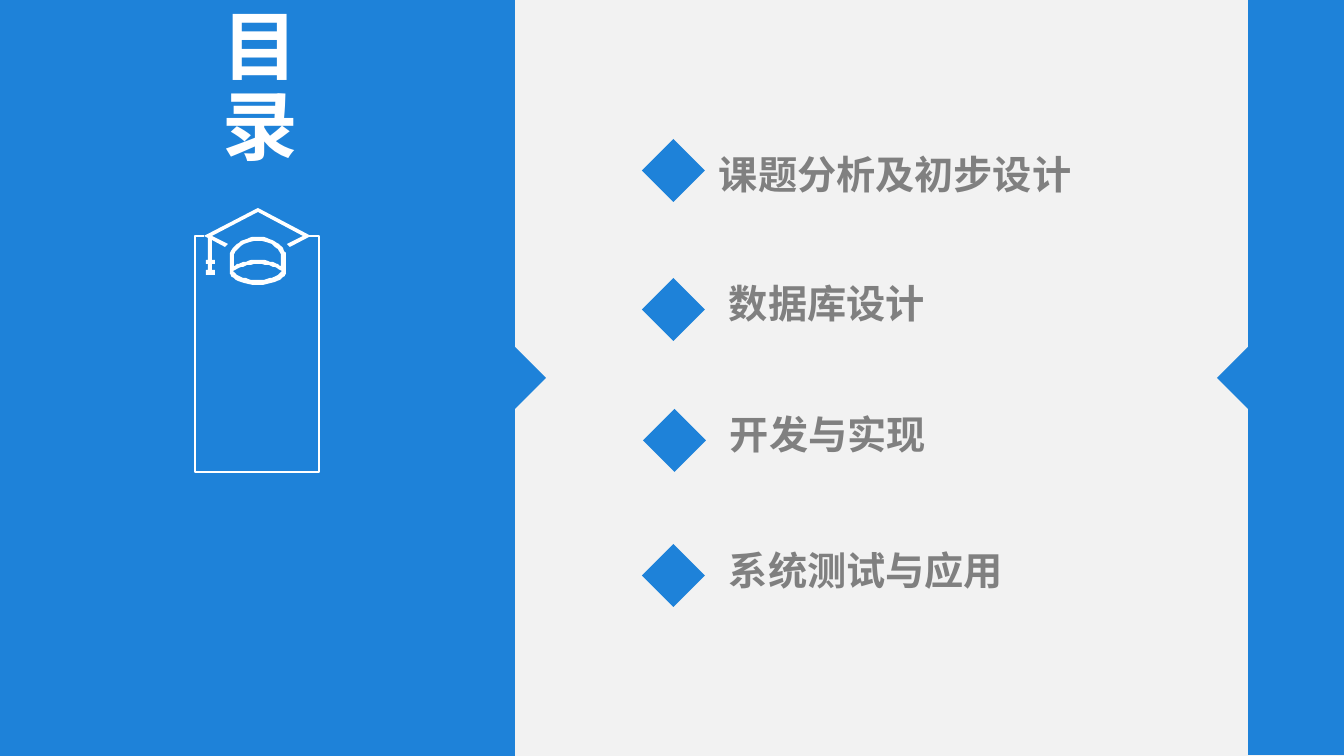
"""Build the contents slide with four numbered chapters."""
from dataclasses import dataclass

from lxml.etree import SubElement
from pptx import Presentation
from pptx.dml.color import RGBColor
from pptx.enum.shapes import MSO_SHAPE as Preset
from pptx.enum.text import MSO_ANCHOR as Anchor, MSO_AUTO_SIZE as AutoSize, PP_ALIGN as Align
from pptx.oxml.ns import qn
from pptx.util import Pt

SCALE = 12192000 / 1344


@dataclass(frozen=True)
class Theme:
    """Colours, fonts and type sizes."""
    blue: str = "1E82D9"
    paper: str = "F2F2F2"
    white: str = "FFFFFF"
    grey: str = "808080"
    heading_font: str = "Noto Sans CJK SC"
    number_font: str = "TeX Gyre Adventor"
    title_size: int = 54
    chapter_size: int = 28
    number_size: int = 24


def px(length):
    """Turn pixels into EMU."""
    return round(length * SCALE)


def curve(start, first, second, end, steps=12):
    """Return points along a cubic curve, without its start."""
    points = []
    for step in range(1, steps + 1):
        t = step / steps
        weights = ((1 - t) ** 3, 3 * t * (1 - t) ** 2, 3 * t * t * (1 - t), t ** 3)
        points.append(tuple(sum(w * p[axis] for w, p in zip(weights, (start, first, second, end)))
                            for axis in (0, 1)))
    return points


def outline(start, *segments):
    """Join corner points and curve segments into one contour."""
    points = [start]
    for segment in segments:
        points += curve(points[-1], *segment) if len(segment) == 3 else [segment]
    return points


class Deck:
    """Hold the theme and the current slide."""

    def __init__(self, theme):
        """Open a title-only slide on the paper colour."""
        self.theme = theme
        self.prs = Presentation()
        self.prs.slide_width, self.prs.slide_height = px(1344), px(756)
        self.slide = self.prs.slides.add_slide(self.prs.slide_layouts[5])
        self.shapes = self.slide.shapes
        self.paint(self.slide.background, theme.paper)

    def paint(self, target, colour):
        """Give a target a solid fill."""
        target.fill.solid()
        target.fill.fore_color.rgb = RGBColor.from_string(colour)

    def add_styled_run(self, frame, text, font, size, colour, bold=False):
        """Put one styled run in the first paragraph."""
        run = frame.paragraphs[0].add_run()
        run.text = text
        run.font.name, run.font.size, run.font.bold = font, Pt(size), bold
        run.font.color.rgb = RGBColor.from_string(colour)
        properties = run._r.get_or_add_rPr()
        SubElement(properties, qn("a:ea")).set("typeface", font)
        return properties

    def title_panel(self, text, left, top, width, height):
        """Make the title a filled panel with vertical text."""
        title = self.shapes.title
        title.left, title.top, title.width, title.height = map(px, (left, top, width, height))
        self.paint(title, self.theme.blue)
        frame = title.text_frame
        frame.auto_size, frame.vertical_anchor = AutoSize.NONE, Anchor.MIDDLE
        frame.margin_left = frame.margin_right = frame.margin_bottom = 0
        frame.margin_top = px(8)
        frame._txBody.bodyPr.set("vert", "eaVert")
        frame.paragraphs[0].alignment = Align.LEFT
        properties = self.add_styled_run(frame, text, self.theme.heading_font,
                                         self.theme.title_size, self.theme.white, True)
        properties.set("spc", "300")

    def block(self, preset, left, top, width, height, parent=None):
        """Add a blue preset shape."""
        shape = (parent or self.shapes).add_shape(preset, *map(px, (left, top, width, height)))
        shape.shadow.inherit = False
        self.paint(shape, self.theme.blue)
        shape.line.fill.background()

    def label(self, parent, left, top, width, height, *style):
        """Add an unwrapped text box."""
        frame = parent.add_textbox(*map(px, (left, top, width, height))).text_frame
        frame.word_wrap = False
        frame.auto_size = AutoSize.SHAPE_TO_FIT_TEXT
        self.add_styled_run(frame, *style)

    def freeform(self, *contours, fill=None, stroke=None):
        """Add filled contours or an open stroked outline."""
        builder = self.shapes.build_freeform(*contours[0][0], scale=SCALE)
        for index, contour in enumerate(contours):
            if index:
                builder.move_to(*contour[0])
            builder.add_line_segments(contour[1:], close=fill is not None)
        shape = builder.convert_to_shape()
        shape.shadow.inherit = False
        if fill:
            self.paint(shape, fill)
            shape.line.fill.background()
        else:
            shape.fill.background()
            shape.line.color.rgb = RGBColor.from_string(stroke)
            shape.line.width = Pt(1)

    def chapter(self, number, text, left, top, text_left, text_top):
        """Add a numbered diamond with its chapter name."""
        theme = self.theme
        group = self.shapes.add_group_shape().shapes
        self.block(Preset.DIAMOND, left, top, 63, 63, group)
        self.label(group, left + 12, top + 6, 38, 50, str(number),
                   theme.number_font, theme.number_size, theme.white)
        self.label(group, text_left, text_top, 39 * len(text) + 22, 57, text,
                   theme.heading_font, theme.chapter_size, theme.grey, True)


def main():
    """Compose and save the slide."""
    theme = Theme()
    deck = Deck(theme)
    deck.title_panel("目录", 0, 0, 515, 756)
    deck.block(Preset.RECTANGLE, 1248, -1, 96, 756)

    cap_rim = outline(
        (258, 237), ((246, 237), (235, 243), (230, 253)), (230, 274),
        ((230, 274), (236, 285), (258, 285)), ((279, 285), (286, 274), (286, 274)),
        (286, 253), ((280, 243), (270, 237), (258, 237)))
    cap_opening = outline(
        (258, 280), ((243, 280), (236, 274), (233, 271)), ((240, 267), (249, 264), (258, 264)),
        ((267, 264), (275, 267), (282, 271)), ((279, 274), (272, 280), (258, 280)))
    cap_crown = outline(
        (281, 266), ((281, 266), (272, 260), (258, 260)), ((244, 260), (234, 266), (234, 266)),
        (234, 254), ((234, 254), (240, 241), (258, 241)), ((275, 241), (281, 254), (281, 254)))
    board_and_tassel = [
        (258, 208), (204, 236), (208, 238), (208, 260), (206, 260), (206, 264), (208, 264),
        (208, 270), (206, 270), (206, 275), (215, 275), (215, 270), (212, 270), (212, 264),
        (215, 264), (215, 260), (212, 260), (212, 240), (225, 247), (228, 244), (212, 236),
        (258, 212), (303, 236), (287, 244), (290, 247), (311, 236)]
    deck.freeform(cap_rim, cap_opening, cap_crown, board_and_tassel, fill=theme.white)

    chapters = (
        ("课题分析及初步设计", 642, 139, 709, 145),
        ("数据库设计", 642, 278, 719, 274),
        ("开发与实现", 643, 409, 720, 405),
        ("系统测试与应用", 642, 544, 719, 541))
    for number, chapter in enumerate(chapters, 1):
        deck.chapter(number, *chapter)

    for edge, tip in ((515, 546), (1248, 1217)):
        deck.freeform([(edge, 409), (edge, 347), (tip, 378)], fill=theme.blue)
    deck.freeform([(309, 236), (319, 236), (319, 472), (195, 472), (195, 236), (204, 236)],
                  stroke=theme.white)
    deck.prs.save("out.pptx")


if __name__ == "__main__":
    main()
